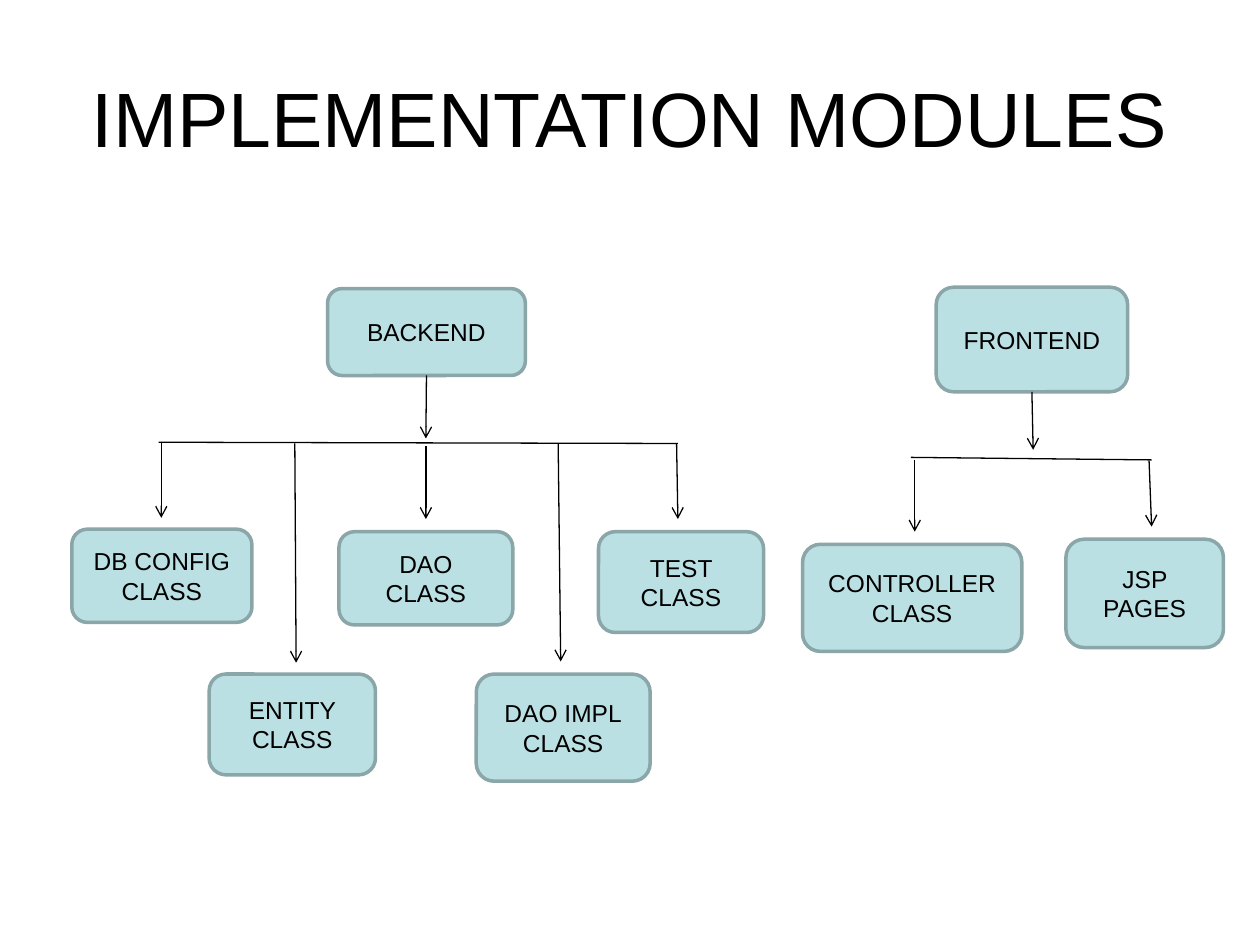
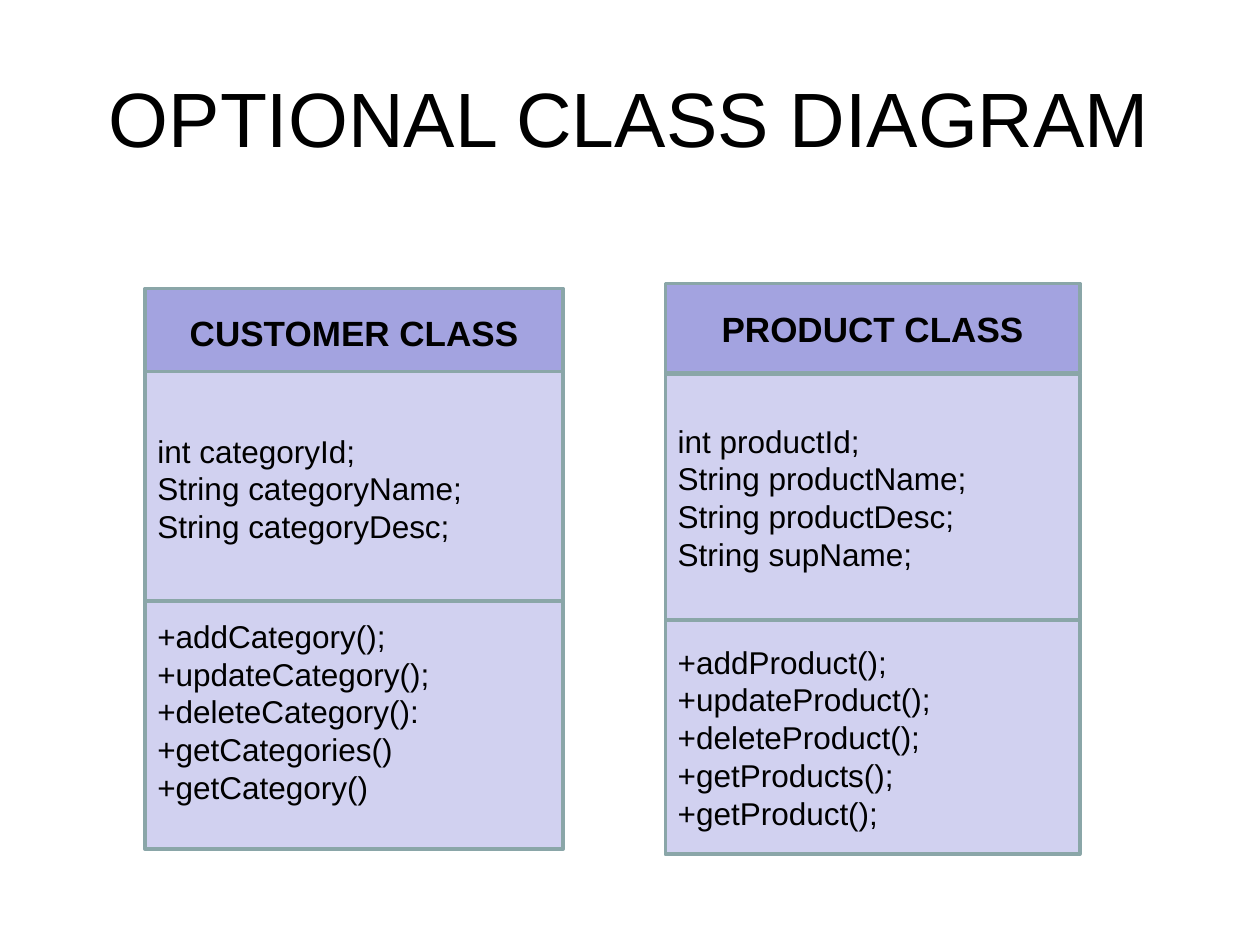
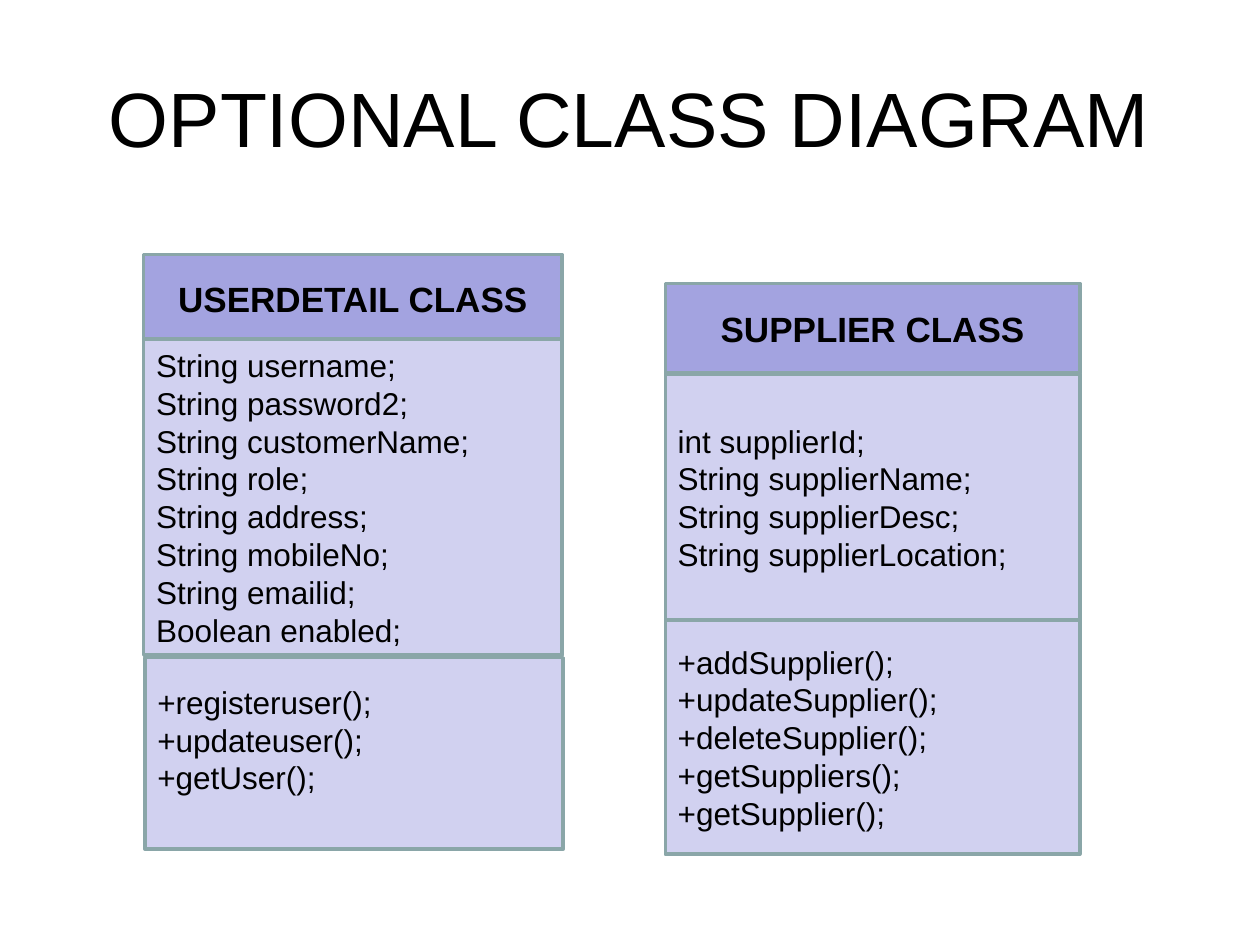
from dataclasses import dataclass

from lxml import etree
from pptx import Presentation
from pptx.dml.color import RGBColor
from pptx.enum import shapes, text
from pptx.oxml import ns
from pptx.util import Inches, Pt

FONT = "Arial"
BLACK, EDGE = "000000", "8AA6A8"
MODULE, HEADER, BODY = "BBE0E3", "A3A3E0", "D1D1F0"
TITLE_ONLY = 5
CENTER, LEFT = text.PP_ALIGN.CENTER, text.PP_ALIGN.LEFT
ROUNDED = shapes.MSO_SHAPE.ROUNDED_RECTANGLE
RECTANGLE = shapes.MSO_SHAPE.RECTANGLE


@dataclass
class Area:
    left: float
    top: float
    width: float
    height: float

    def lengths(self) -> list:
        return [Inches(v) for v in (self.left, self.top, self.width, self.height)]


@dataclass
class Style:
    shape: int
    fill: str
    size: int
    align: int
    bold: bool = False


@dataclass
class Module:
    label: str
    area: Area


@dataclass
class Line:
    x1: float
    y1: float
    x2: float
    y2: float


@dataclass
class Branch:
    root: Module
    stem: Line
    bar: Line
    drops: list[Line]
    children: list[Module]


@dataclass
class Frame:
    header: Area
    fields: Area
    methods: Area
    bottom_inset: float = 0.05


@dataclass
class ClassCard:
    frame: Frame
    name: str
    fields: list[str]
    methods: list[str]


MODULE_STYLE = Style(ROUNDED, MODULE, 14, CENTER)
HEADER_STYLE = Style(RECTANGLE, HEADER, 20, CENTER, True)
BODY_STYLE = Style(RECTANGLE, BODY, 18, LEFT)

BRANCHES = [
    Branch(
        Module("BACKEND", Area(2.6, 2.29, 1.57, 0.69)),
        Line(3.38, 2.98, 3.38, 3.48),
        Line(1.26, 3.51, 5.38, 3.52),
        [
            Line(1.28, 3.52, 1.28, 4.11),
            Line(5.37, 3.52, 5.38, 4.12),
            Line(3.38, 3.54, 3.38, 4.12),
            Line(2.34, 3.52, 2.35, 5.26),
            Line(4.43, 3.52, 4.45, 5.25),
        ],
        [
            Module("DB CONFIG\nCLASS", Area(0.57, 4.2, 1.43, 0.74)),
            Module("ENTITY CLASS", Area(1.66, 5.35, 1.32, 0.8)),
            Module("DAO CLASS", Area(2.69, 4.22, 1.38, 0.74)),
            Module("DAO IMPL\nCLASS", Area(3.78, 5.35, 1.38, 0.85)),
            Module("TEST CLASS", Area(4.75, 4.22, 1.31, 0.8)),
        ],
    ),
    Branch(
        Module("FRONTEND", Area(7.43, 2.28, 1.52, 0.83)),
        Line(8.19, 3.11, 8.2, 3.57),
        Line(7.23, 3.63, 9.14, 3.65),
        [Line(9.12, 3.66, 9.14, 4.18), Line(7.26, 3.65, 7.26, 4.22)],
        [
            Module("CONTROLLER CLASS", Area(6.37, 4.32, 1.74, 0.85)),
            Module("JSP PAGES", Area(8.46, 4.28, 1.25, 0.86)),
        ],
    ),
]

CUSTOMER_FRAME = Frame(
    Area(1.15, 2.29, 3.32, 0.69), Area(1.15, 2.95, 3.32, 1.85),
    Area(1.15, 4.77, 3.32, 1.97), 0.27)
USER_FRAME = Frame(
    Area(1.14, 2.02, 3.32, 0.69), Area(1.14, 2.69, 3.32, 2.51),
    Area(1.15, 5.22, 3.32, 1.52), 0.27)
RIGHT_FRAME = Frame(
    Area(5.28, 2.25, 3.29, 0.71), Area(5.28, 2.97, 3.29, 1.95),
    Area(5.28, 4.92, 3.29, 1.86))

CLASS_SLIDES = [
    [
        ClassCard(
            CUSTOMER_FRAME, "CUSTOMER CLASS",
            ["int categoryId;", "String categoryName;", "String categoryDesc;"],
            ["+addCategory();", "+updateCategory();", "+deleteCategory():",
             "+getCategories()", "+getCategory()"]),
        ClassCard(
            RIGHT_FRAME, "PRODUCT CLASS",
            ["int productId;", "String productName;", "String productDesc;",
             "String supName;"],
            ["+addProduct();", "+updateProduct();", "+deleteProduct();",
             "+getProducts();", "+getProduct();"]),
    ],
    [
        ClassCard(
            USER_FRAME, "USERDETAIL CLASS",
            ["String username;", "String password2;", "String customerName;",
             "String role;", "String address;", "String mobileNo;",
             "String emailid;", "Boolean enabled;"],
            ["+registeruser();", "+updateuser();", "+getUser();"]),
        ClassCard(
            RIGHT_FRAME, "SUPPLIER CLASS",
            ["int supplierId;", "String supplierName;", "String supplierDesc;",
             "String supplierLocation;"],
            ["+addSupplier();", "+updateSupplier();", "+deleteSupplier();",
             "+getSuppliers();", "+getSupplier();"]),
    ],
]


def color(value: str) -> RGBColor:
    return RGBColor.from_string(value)


def write(tf, content: str, size: int, align: int, bold: bool = False) -> None:
    tf.text = content
    tf.word_wrap = True
    tf.vertical_anchor = text.MSO_ANCHOR.MIDDLE
    for p in tf.paragraphs:
        p.alignment = align
        for r in p.runs:
            r.font.name = FONT
            r.font.size = Pt(size)
            r.font.bold = bold
            r.font.color.rgb = color(BLACK)


def add_slide(prs, title: str):
    s = prs.slides.add_slide(prs.slide_layouts[TITLE_ONLY])
    sp = s.shapes.title
    sp.left, sp.top, sp.width, sp.height = Area(0.5, 0.3, 9, 1.25).lengths()
    write(sp.text_frame, title, 44, CENTER)
    return s


def add_box(s, area: Area, content: str, style: Style, bottom_inset: float = 0.05):
    sp = s.shapes.add_shape(style.shape, *area.lengths())
    sp.shadow.inherit = False
    sp.fill.solid()
    sp.fill.fore_color.rgb = color(style.fill)
    sp.line.color.rgb = color(EDGE)
    sp.line.width = Pt(2)
    sp.text_frame.margin_bottom = Inches(bottom_inset)
    write(sp.text_frame, content, style.size, style.align, style.bold)
    return sp


def add_line(s, line: Line, arrow: bool = True):
    ends = (Inches(v) for v in (line.x1, line.y1, line.x2, line.y2))
    cn = s.shapes.add_connector(shapes.MSO_CONNECTOR.STRAIGHT, *ends)
    cn.line.color.rgb = color(BLACK)
    cn.line.width = Pt(0.75)
    if arrow:
        etree.SubElement(cn.line._get_or_add_ln(), ns.qn("a:tailEnd"), type="arrow")
    etree.SubElement(cn._element.spPr, ns.qn("a:effectLst"))
    return cn


def add_branch(s, branch: Branch) -> None:
    root = add_box(s, branch.root.area, branch.root.label, MODULE_STYLE)
    for child in branch.children:
        add_box(s, child.area, child.label, MODULE_STYLE)
    add_line(s, branch.stem).begin_connect(root, 2)
    add_line(s, branch.bar, arrow=False)
    for drop in branch.drops:
        add_line(s, drop)


def add_class(s, card: ClassCard) -> None:
    frame = card.frame
    add_box(s, frame.header, card.name, HEADER_STYLE)
    add_box(s, frame.fields, "\n".join(card.fields), BODY_STYLE)
    add_box(s, frame.methods, "\n".join(card.methods), BODY_STYLE, frame.bottom_inset)


def main() -> None:
    prs = Presentation()
    prs.slide_width, prs.slide_height = Inches(10), Inches(7.5)
    s = add_slide(prs, "IMPLEMENTATION MODULES")
    for branch in BRANCHES:
        add_branch(s, branch)
    for cards in CLASS_SLIDES:
        s = add_slide(prs, "OPTIONAL CLASS DIAGRAM")
        for card in cards:
            add_class(s, card)
    prs.save("out.pptx")


if __name__ == "__main__":
    main()
